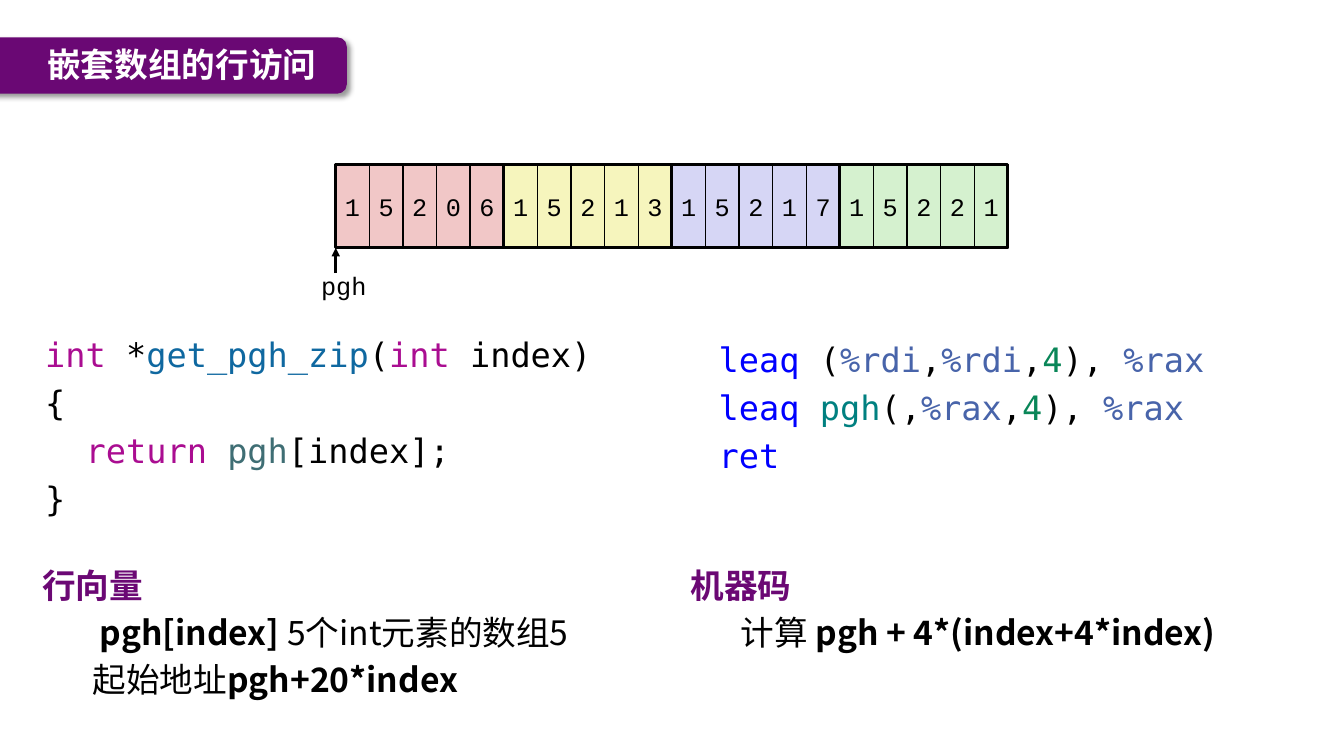
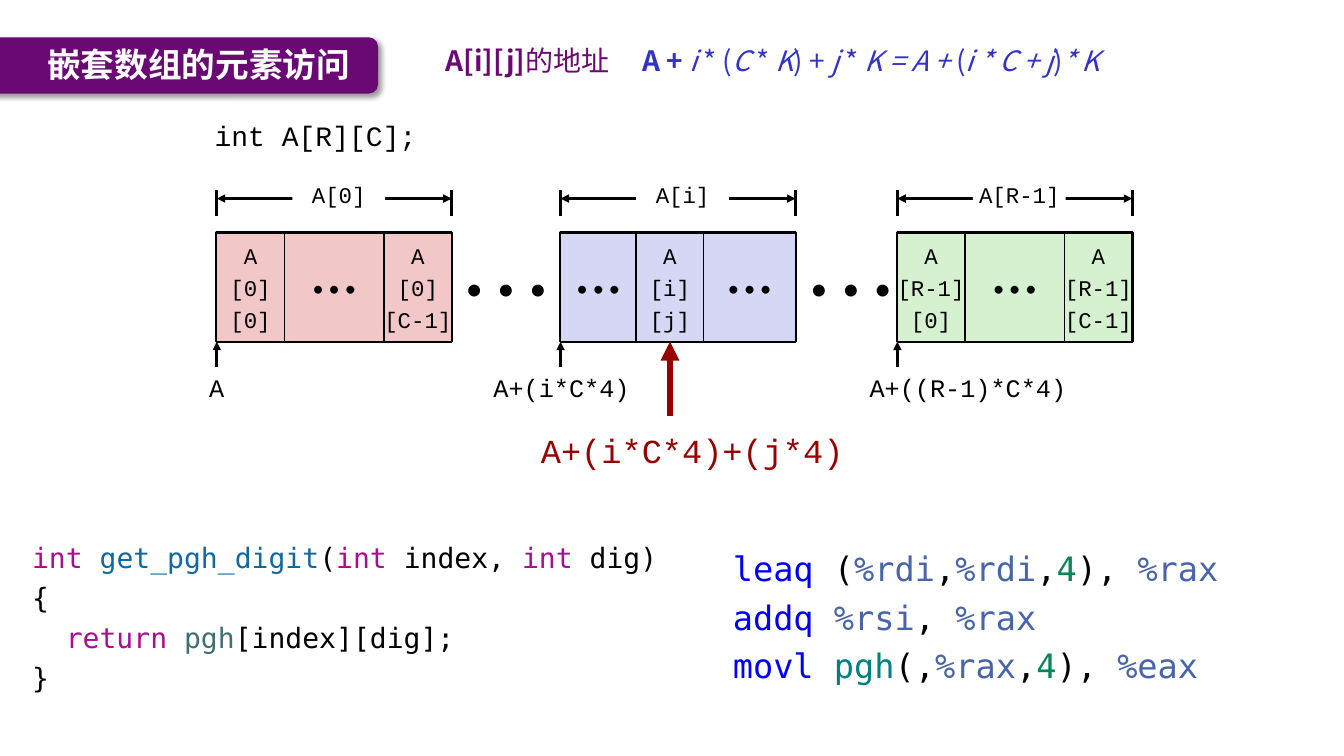
"""Build two slides on row and element access in nested arrays."""
import lxml.etree
import pptx
import pptx.dml.color
import pptx.enum.shapes
import pptx.enum.text
import pptx.oxml
import pptx.oxml.ns
import pptx.util

Inches, Pt = pptx.util.Inches, pptx.util.Pt
color = pptx.dml.color.RGBColor.from_string
qn = pptx.oxml.ns.qn
SHAPE = pptx.enum.shapes.MSO_SHAPE
ALIGN = pptx.enum.text.PP_ALIGN
ANCHOR = pptx.enum.text.MSO_ANCHOR

HEADING, MONO, CODE, DOTS = "Noto Sans CJK SC", "Courier New", "DejaVu Sans Mono", "Calibri"
BLACK, WHITE, PURPLE, BAND, BLUE, RED = "000000", "FFFFFF", "6B0874", "6A0874", "3333CC", "990000"
PINK, YELLOW, LILAC, GREEN = "F1C7C7", "F6F5BD", "D6D6F5", "D5F1CF"
KEYWORD, FUNCTION, VARIABLE = "AA0D91", "0F68A0", "3F6E74"
OPCODE, REGISTER, NUMBER, SYMBOL = "0000FF", "4864AA", "098658", "008080"


def place(slide, box, lines, face, size, fill=None, edge=None, centred=False, middle=False, ink=BLACK):
    """Add a text box, or a rectangle when fill or edge is given; a run is (text, colour, style)."""
    area = [Inches(value) for value in box]
    if fill or edge:
        part = slide.shapes.add_shape(SHAPE.RECTANGLE, *area)
        part.shadow.inherit = False
        if fill:
            part.fill.solid()
            part.fill.fore_color.rgb = color(fill)
        else:
            part.fill.background()
        if edge:
            part.line.color.rgb = color(BLACK)
            part.line.width = Pt(edge)
        else:
            part.line.fill.background()
    else:
        part = slide.shapes.add_textbox(*area)
    frame = part.text_frame
    frame.word_wrap = not centred
    frame.vertical_anchor = ANCHOR.MIDDLE if middle else ANCHOR.TOP
    for number, line in enumerate(lines):
        paragraph = frame.add_paragraph() if number else frame.paragraphs[0]
        paragraph.alignment = ALIGN.CENTER if centred else ALIGN.LEFT
        if number:
            paragraph.space_before = Pt(round(size * 0.235, 1))
        for text, tint, style in [(line, ink, "")] if isinstance(line, str) else line:
            run = paragraph.add_run()
            run.text = text
            run.font.size = Pt(size)
            run.font.name = face
            run.font.bold = "b" in style
            run.font.italic = "i" in style
            run.font.color.rgb = color(tint)
            if face == HEADING:
                lxml.etree.SubElement(run.font._element, qn("a:ea"), typeface=face)
    return part


def draw_line(slide, start, end, ends=(), width=2, tint=BLACK):
    """Add a straight connector with triangles at the named ends."""
    connector = slide.shapes.add_connector(
        pptx.enum.shapes.MSO_CONNECTOR.STRAIGHT, *[Inches(value) for value in (*start, *end)])
    connector.line.color.rgb = color(tint)
    connector.line.width = Pt(width)
    properties = connector.element.spPr
    for tip in ends:
        lxml.etree.SubElement(properties.find(qn("a:ln")), qn("a:" + tip), type="triangle")
    lxml.etree.SubElement(properties, qn("a:effectLst"))
    return connector


deck = pptx.Presentation()
deck.slide_width, deck.slide_height = Inches(13.33), Inches(7.5)

slides = []
for heading, band_width in (("嵌套数组的行访问", 3.64), ("嵌套数组的元素访问", 3.95)):
    slide = deck.slides.add_slide(deck.slide_layouts[5])
    slides.append(slide)
    band = slide.shapes.add_shape(
        SHAPE.ROUNDED_RECTANGLE, Inches(-0.2), Inches(0.37), Inches(band_width), Inches(0.56))
    band.fill.solid()
    band.fill.fore_color.rgb = color(BAND)
    band.line.fill.background()
    band.element.spPr.append(pptx.oxml.parse_xml(
        '<a:effectLst xmlns:a="http://schemas.openxmlformats.org/drawingml/2006/main">'
        '<a:outerShdw blurRad="50800" dist="38100" dir="2700000" algn="tl" rotWithShape="0">'
        '<a:srgbClr val="000000"><a:alpha val="40000"/></a:srgbClr></a:outerShdw></a:effectLst>'))
    title = slide.shapes.title
    title.element.addprevious(band.element)
    title.left, title.top = Inches(0.37), Inches(0.36)
    title.width, title.height = Inches(band_width - 0.5), Inches(0.55)
    title.text_frame.auto_size = pptx.enum.text.MSO_AUTO_SIZE.NONE
    title.text_frame.word_wrap = False
    title.text_frame.vertical_anchor = ANCHOR.MIDDLE
    title.text_frame.paragraphs[0].alignment = ALIGN.LEFT
    run = title.text_frame.paragraphs[0].add_run()
    run.text = heading
    run.font.size = Pt(24)
    run.font.name = HEADING
    run.font.bold = True
    run.font.color.rgb = color(WHITE)
    lxml.etree.SubElement(run.font._element, qn("a:ea"), typeface=HEADING)
row_slide, element_slide = slides

ROW_LEFT, ROW_TOP, DIGIT_WIDTH, DIGIT_HEIGHT = 3.33, 1.63, 1 / 3, 0.83
zip_codes = (("15206", PINK), ("15213", YELLOW), ("15217", LILAC), ("15221", GREEN))
for row, (digits, tint) in enumerate(zip_codes):
    for column, digit in enumerate(digits):
        left = ROW_LEFT + (row * 5 + column) * DIGIT_WIDTH
        place(row_slide, (left, ROW_TOP, DIGIT_WIDTH, DIGIT_HEIGHT), [digit], MONO, 18,
              fill=tint, edge=1, centred=True, middle=True)
for row in range(len(zip_codes)):
    place(row_slide, (ROW_LEFT + row * 5 * DIGIT_WIDTH, ROW_TOP, 5 * DIGIT_WIDTH, DIGIT_HEIGHT),
          [], MONO, 18, edge=2.25)
draw_line(row_slide, (ROW_LEFT, 2.71), (ROW_LEFT, 2.46), ["tailEnd"])
place(row_slide, (3.08, 2.63, 0.66, 0.4), ["pgh"], MONO, 18, centred=True)

row_address = [
    ("leaq", OPCODE, ""), (" (", BLACK, ""), ("%rdi", REGISTER, ""), (",", BLACK, ""),
    ("%rdi", REGISTER, ""), (",", BLACK, ""), ("4", NUMBER, ""), ("), ", BLACK, ""),
    ("%rax", REGISTER, "")]
table_operand = [
    ("pgh", SYMBOL, ""), ("(,", BLACK, ""), ("%rax", REGISTER, ""), (",", BLACK, ""),
    ("4", NUMBER, ""), ("), ", BLACK, "")]
return_pgh = [("  ", BLACK, ""), ("return ", KEYWORD, ""), ("pgh", VARIABLE, "")]

place(row_slide, (0.35, 3.26, 7.24, 1.96), [
    [("int", KEYWORD, ""), (" *", BLACK, ""), ("get_pgh_zip", FUNCTION, ""), ("(", BLACK, ""),
     ("int", KEYWORD, ""), (" index)", BLACK, "")],
    "{",
    return_pgh + [("[index];", BLACK, "")],
    "}"], CODE, 24)
place(row_slide, (7.03, 3.31, 6.2, 1.47), [
    row_address,
    [("leaq ", OPCODE, "")] + table_operand + [("%rax", REGISTER, "")],
    [("ret", OPCODE, "")]], CODE, 24)

notes = (
    (0.32, (0, 0.57, 0.5), [
        [("行向量", PURPLE, "b")],
        [("pgh[index] ", BLACK, "b"), ("5个int元素的数组5", BLACK, "")],
        [("起始地址", BLACK, ""), ("pgh+20*index", BLACK, "b")]]),
    (6.75, (0, 0.5), [
        [("机器码", PURPLE, "b")],
        [("计算 ", BLACK, ""), ("pgh + 4*(index+4*index)", BLACK, "b")]]))
for left, indents, lines in notes:
    note = place(row_slide, (left, 5.49, 6.4, 1.5), lines, HEADING, 24)
    for paragraph, indent in zip(note.text_frame.paragraphs, indents):
        paragraph.space_before = Pt(0)
        paragraph.line_spacing = Pt(33.6)
        paragraph._p.get_or_add_pPr().set("marL", str(Inches(indent)))

place(element_slide, (4.32, 0.38, 2, 0.5),
      [[("A[i][j]", PURPLE, "b"), ("的地址", PURPLE, "")]], HEADING, 20)
formula = (("A + ", "b"), ("i ", "i"), ("* (", ""), ("C ", "i"), ("* ", ""), ("K", "i"),
           (") + ", ""), ("j", "i"), (" * ", ""), ("K = A + ", "i"), ("(", ""),
           ("i * C + j", "i"), (")", ""), ("* K", "i"))
place(element_slide, (6.27, 0.38, 6.5, 0.5),
      [[(text, BLUE, style) for text, style in formula]], HEADING, 20)
place(element_slide, (2.03, 1.13, 2.4, 0.43), ["int A[R][C];"], MONO, 20)

BLOCK_TOP, BLOCK_WIDTH, BLOCK_HEIGHT = 2.31, 2.33, 1.08
BLOCK_BOTTOM = BLOCK_TOP + BLOCK_HEIGHT
for left in (4.48, 7.9):
    skipped = place(element_slide, (left, BLOCK_TOP, 1.08, BLOCK_HEIGHT), ["• • •"], DOTS, 24,
                    centred=True, middle=True)
    skipped.text_frame.paragraphs[0].runs[0].font._element.set("spc", "270")

ELLIPSIS = ["• • •"]
blocks = (
    (2.15, PINK, "A[0]", "A", 2.15,
     ((0.67, ["A", "[0]", "[0]"]), (0.99, ELLIPSIS), (0.67, ["A", "[0]", "[C-1]"]))),
    (5.56, LILAC, "A[i]", "A+(i*C*4)", 5.57,
     ((0.75, ELLIPSIS), (0.67, ["A", "[i]", "[j]"]), (0.91, ELLIPSIS))),
    (8.9, GREEN, "A[R-1]", "A+((R-1)*C*4)", 9.6,
     ((0.67, ["A", "[R-1]", "[0]"]), (0.99, ELLIPSIS), (0.67, ["A", "[R-1]", "[C-1]"]))))
for left, tint, row_name, address, address_center, elements in blocks:
    right = left + BLOCK_WIDTH
    place(element_slide, (left, BLOCK_TOP, BLOCK_WIDTH, BLOCK_HEIGHT), [], MONO, 16,
          fill=tint, edge=2.25)
    element_left = left
    for width, lines in elements:
        element = place(element_slide, (element_left, BLOCK_TOP, width, BLOCK_HEIGHT), lines,
                        DOTS if lines is ELLIPSIS else MONO, 16,
                        fill=tint, edge=1, centred=True, middle=True)
        element_left += width
        if "[j]" in lines:
            target = element
    for edge_x in (left, right):
        draw_line(element_slide, (edge_x, 1.89), (edge_x, 2.14))
    draw_line(element_slide, (left, 1.97), (right, 1.97), ["headEnd", "tailEnd"])
    place(element_slide, (left + 0.75, 1.72, 0.92, 0.42), [row_name], MONO, 16,
          fill=WHITE, centred=True, middle=True)
    draw_line(element_slide, (left, 3.64), (left, BLOCK_BOTTOM), ["tailEnd"])
    if address == "A+(i*C*4)":
        address_center = 5.57
    place(element_slide, (address_center - 1.1, 3.64, 2.2, 0.4), [address], MONO, 18, centred=True)

pointer = draw_line(element_slide, (6.65, 4.13), (6.65, BLOCK_BOTTOM), ["tailEnd"], 4.5, RED)
pointer.end_connect(target, 2)
pointer.begin_x = pointer.end_x
place(element_slide, (5.25, 4.22, 3.23, 0.5), ["A+(i*C*4)+(j*4)"], MONO, 24,
      centred=True, ink=RED)

place(element_slide, (0.22, 5.31, 6.6, 1.65), [
    [("int ", KEYWORD, ""), ("get_pgh_digit", FUNCTION, ""), ("(", BLACK, ""),
     ("int", KEYWORD, ""), (" index, ", BLACK, ""), ("int", KEYWORD, ""), (" dig)", BLACK, "")],
    "{",
    return_pgh + [("[index][dig];", BLACK, "")],
    "}"], CODE, 20)
place(element_slide, (7.17, 5.39, 5.5, 1.47), [
    row_address,
    [("addq ", OPCODE, ""), ("%rsi", REGISTER, ""), (", ", BLACK, ""), ("%rax", REGISTER, "")],
    [("movl ", OPCODE, "")] + table_operand + [("%eax", REGISTER, "")]], CODE, 24)

deck.save("out.pptx")
